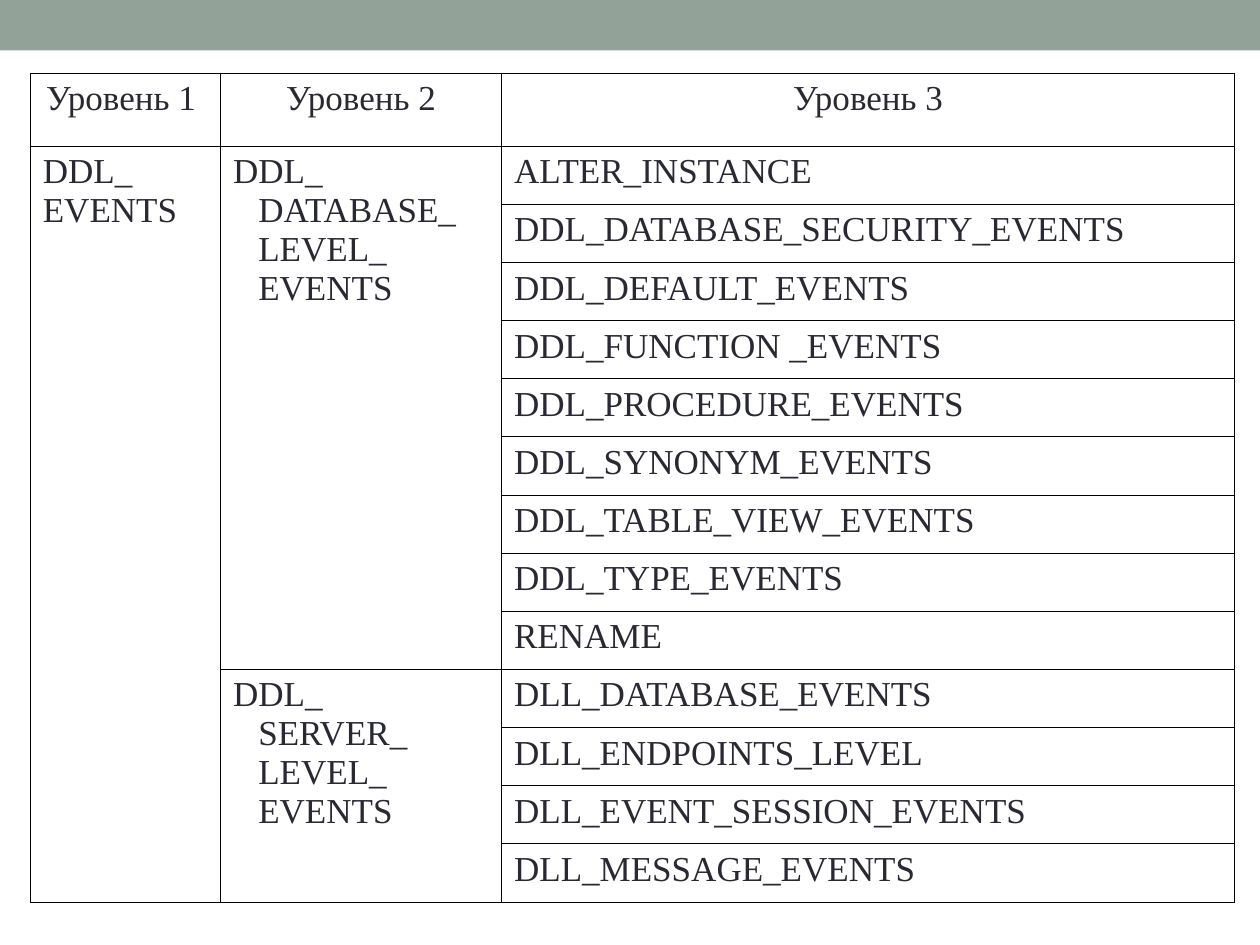
from lxml import etree
from pptx import Presentation
from pptx.dml.color import RGBColor
from pptx.enum.shapes import MSO_SHAPE
from pptx.enum.text import PP_ALIGN
from pptx.oxml import parse_xml
from pptx.oxml.ns import nsdecls
from pptx.util import Inches, Pt

RECTANGLE = MSO_SHAPE.RECTANGLE
CENTER, JUSTIFY = PP_ALIGN.CENTER, PP_ALIGN.JUSTIFY
SAGE = RGBColor(0x93, 0xA2, 0x99)
INK = RGBColor(0x29, 0x29, 0x34)
BLACK = RGBColor(0, 0, 0)
FONT = "Times New Roman"

HEADERS = ["Уровень 1 ", "Уровень 2", "Уровень 3"]
ROOT_PARTS = ["DDL_", "EVENTS"]
GROUPS = [
    (["DDL_", "DATABASE_", "LEVEL_", "EVENTS"],
     ["ALTER_INSTANCE", "DDL_DATABASE_SECURITY_EVENTS", "DDL_DEFAULT_EVENTS",
      "DDL_FUNCTION _EVENTS", "DDL_PROCEDURE_EVENTS", "DDL_SYNONYM_EVENTS",
      "DDL_TABLE_VIEW_EVENTS", "DDL_TYPE_EVENTS", "RENAME"]),
    (["DDL_", "SERVER_", "LEVEL_", "EVENTS"],
     ["DLL_DATABASE_EVENTS", "DLL_ENDPOINTS_LEVEL",
      "DLL_EVENT_SESSION_EVENTS", "DLL_MESSAGE_EVENTS"]),
]
COLUMN_WIDTHS = [1.51, 2.23, 5.82]
HEADER_HEIGHT = 0.58
BODY_HEIGHT = 6


def write_paragraph(paragraph, lines, alignment=JUSTIFY):
    """Write lines as one hanging paragraph, separated by line breaks."""
    paragraph.alignment = alignment
    properties = paragraph._p.get_or_add_pPr()
    properties.set("marL", str(Inches(0.2)))
    properties.set("indent", str(Inches(-0.2)))
    for number, line in enumerate(lines):
        if number:
            paragraph.add_line_break()
        run = paragraph.add_run()
        run.text = line
        run.font.name = FONT
        run.font.size = Pt(20)
        run.font.color.rgb = INK


def add_borders(cell):
    properties = cell._tc.get_or_add_tcPr()
    for position, side in enumerate(["lnL", "lnR", "lnT", "lnB"]):
        border = parse_xml(f'<a:{side} {nsdecls("a")} w="{Pt(0.45)}"/>')
        fill = etree.SubElement(border, border.tag.replace(side, "solidFill"))
        color = etree.SubElement(fill, border.tag.replace(side, "srgbClr"))
        color.set("val", str(BLACK))
        properties.insert(position, border)


prs = Presentation()
prs.slide_width, prs.slide_height = Inches(10), Inches(7.5)
slide = prs.slides.add_slide(prs.slide_layouts[6])

top_band = slide.shapes.add_shape(RECTANGLE, 0, 0, Inches(10), Inches(0.4))
top_band.shadow.inherit = False
top_band.fill.solid()
top_band.fill.fore_color.rgb = SAGE
top_band.line.fill.background()

event_count = sum(len(events) for _, events in GROUPS)
table = slide.shapes.add_table(
    event_count + 1, len(HEADERS), Inches(0.24), Inches(0.58),
    Inches(sum(COLUMN_WIDTHS)), Inches(HEADER_HEIGHT + BODY_HEIGHT)).table
table.first_row = False
table.horz_banding = False
for column, width in zip(table.columns, COLUMN_WIDTHS):
    column.width = Inches(width)
for row in table.rows:
    row.height = Inches(BODY_HEIGHT / event_count)
table.rows[0].height = Inches(HEADER_HEIGHT)
for cell in table.iter_cells():
    cell.fill.background()
    add_borders(cell)

for column_index, header in enumerate(HEADERS):
    header_cell = table.cell(0, column_index)
    write_paragraph(header_cell.text_frame.paragraphs[0], [header], CENTER)

root_cell = table.cell(1, 0)
root_cell.merge(table.cell(event_count, 0))
root_frame = root_cell.text_frame
write_paragraph(root_frame.paragraphs[0], ROOT_PARTS[:1])
write_paragraph(root_frame.add_paragraph(), ROOT_PARTS[1:])

first_row = 1
for group_lines, events in GROUPS:
    group_cell = table.cell(first_row, 1)
    group_cell.merge(table.cell(first_row + len(events) - 1, 1))
    write_paragraph(group_cell.text_frame.paragraphs[0], group_lines)
    for row_index, event in enumerate(events, first_row):
        event_cell = table.cell(row_index, 2)
        write_paragraph(event_cell.text_frame.paragraphs[0], [event])
    first_row += len(events)

prs.save("out.pptx")
